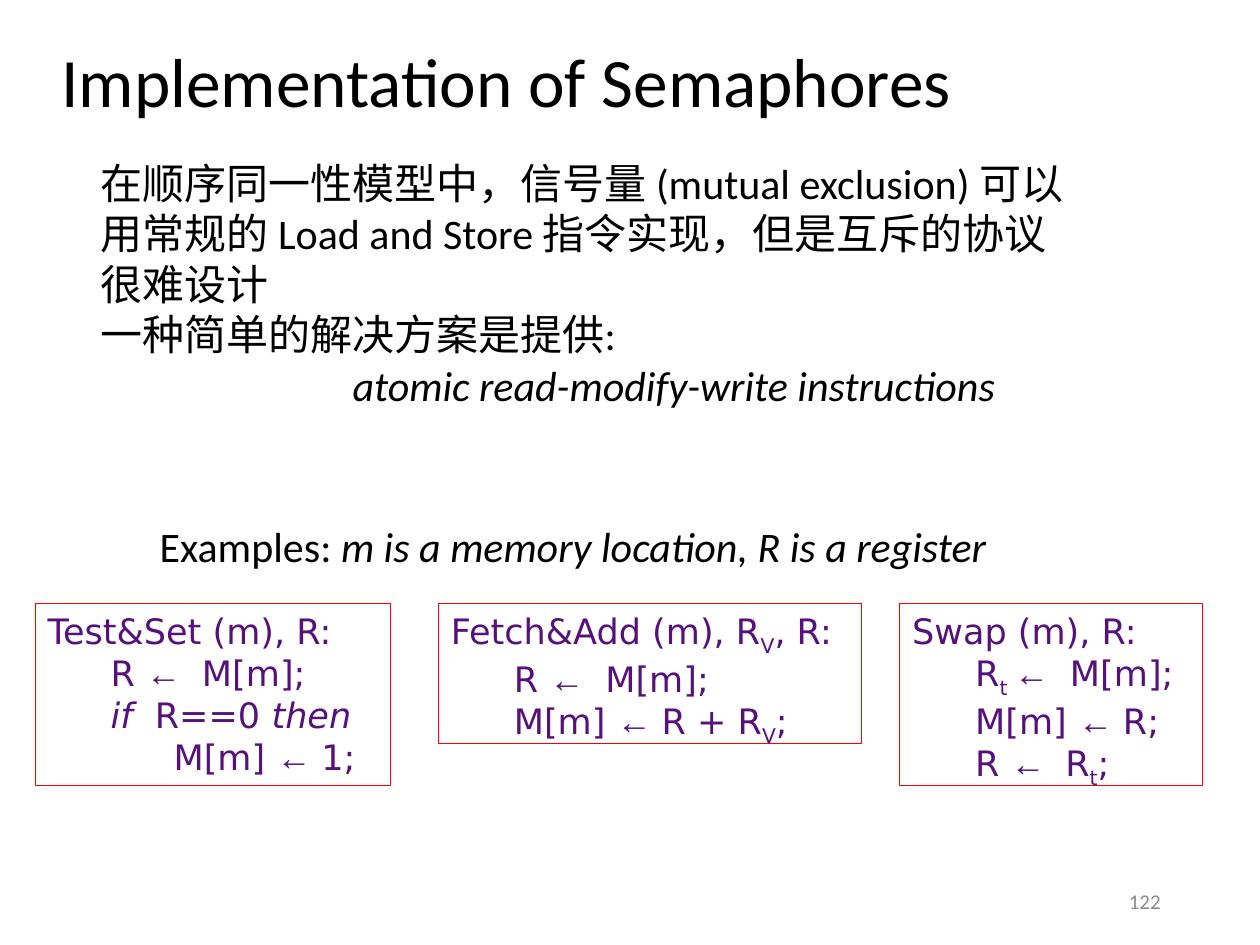
from pptx import Presentation
from pptx.dml.color import RGBColor
from pptx.enum.shapes import MSO_SHAPE
from pptx.enum.text import MSO_ANCHOR, PP_ALIGN
from pptx.util import Cm, Pt

RECTANGLE = MSO_SHAPE.RECTANGLE
TOP, MIDDLE = MSO_ANCHOR.TOP, MSO_ANCHOR.MIDDLE
LEFT, RIGHT = PP_ALIGN.LEFT, PP_ALIGN.RIGHT

BLACK = RGBColor(0x00, 0x00, 0x00)
GRAY = RGBColor(0x8C, 0x8C, 0x8C)
RED = RGBColor(0xFF, 0x00, 0x00)
PURPLE = RGBColor(0x56, 0x12, 0x7A)

TEXT_FONT, CODE_FONT, ARROW_FONT = "Calibri", "DejaVu Sans", "Arial"
TAB = 1.27  # cm per indent step
CODE_TOP = 12.17

PLAIN, ITALIC, SUB, ARROW = "plain", "italic", "subscript", "arrow"
ASSIGN = ("← ", ARROW)
LOAD = (1, ["R ", ASSIGN, " M[m];"])

# Left, width and height in cm, then lines of (indent steps, spans)
INSTRUCTIONS = [
    (0.71, 7.16, 3.66, [
        (0, ["Test&Set (m), R:"]),
        LOAD,
        (1, [("if", ITALIC), "  R==0 ", ("then", ITALIC)]),
        (2, ["M[m] ", ASSIGN, "1;"]),
    ]),
    (8.84, 8.53, 2.82, [
        (0, ["Fetch&Add (m), R", ("V", SUB), ", R:"]),
        LOAD,
        (1, ["M[m] ", ASSIGN, "R + R", ("V", SUB), ";"]),
    ]),
    (18.14, 6.1, 3.66, [
        (0, ["Swap (m), R:"]),
        (1, ["R", ("t ", SUB), ASSIGN, " M[m];"]),
        (1, ["M[m] ", ASSIGN, "R;"]),
        (1, ["R ", ("←  ", ARROW), "R", ("t", SUB), ";"]),
    ]),
]

PROBLEM = [
    (0, ["在顺序同一性模型中，信号量 (mutual exclusion) 可以用常规的 Load and Store "
         "指令实现，但是互斥的协议很难设计"]),
    (0, ["一种简单的解决方案是提供:"]),
    (4, [("atomic read-modify-write instructions", ITALIC)]),
]


def add_span(para, text, style):
    span = para.add_run()
    span.text = text
    if style == ITALIC:
        span.font.italic = True
    elif style == SUB:
        span._r.get_or_add_rPr().set("baseline", "-25000")
    elif style == ARROW:
        span.font.name = ARROW_FONT


def write_lines(box, lines, font, size, color, anchor=TOP, align=LEFT, spacing=1.0):
    """Fill a box with lines given as (indent steps, spans)."""
    frame = box.text_frame
    frame.word_wrap = True
    frame.vertical_anchor = anchor
    for number, (steps, spans) in enumerate(lines):
        para = frame.add_paragraph() if number else frame.paragraphs[0]
        para.alignment = align
        para.line_spacing = spacing
        properties = para._p.get_or_add_pPr()
        properties.set("marL", str(Cm(steps * TAB)))
        properties.set("indent", "0")
        para.font.name = font
        para.font.size = Pt(size)
        para.font.color.rgb = color
        for span in spans:
            text, style = (span, PLAIN) if isinstance(span, str) else span
            add_span(para, text, style)


def add_text(page, left, top, width, height, lines, size, color=BLACK, **layout):
    box = page.shapes.add_textbox(Cm(left), Cm(top), Cm(width), Cm(height))
    write_lines(box, lines, TEXT_FONT, size, color, **layout)


def add_code_box(page, left, width, height, lines):
    box = page.shapes.add_shape(RECTANGLE, Cm(left), Cm(CODE_TOP), Cm(width), Cm(height))
    box.shadow.inherit = False
    box.fill.background()
    box.line.color.rgb = RED
    box.line.width = Pt(0.75)
    write_lines(box, lines, CODE_FONT, 20, PURPLE)


def main():
    deck = Presentation()
    deck.slide_width, deck.slide_height = Cm(25.4), Cm(19.05)
    page = deck.slides.add_slide(deck.slide_layouts[6])

    add_text(page, 0.99, 0.89, 22.05, 1.63, [(0, ["Implementation of Semaphores"])],
             39.6, anchor=MIDDLE, spacing=0.9)
    add_text(page, 1.78, 3.05, 20.32, 5.38, PROBLEM, 24)
    add_text(page, 2.97, 10.36, 17.4, 1.27,
             [(0, ["Examples: ", ("m is a memory location, R is a register", ITALIC)])], 24)
    for left, width, height, lines in INSTRUCTIONS:
        add_code_box(page, left, width, height, lines)
    add_text(page, 17.93, 17.65, 5.72, 1.02, [(0, ["122"])], 12, GRAY,
             anchor=MIDDLE, align=RIGHT)

    deck.save("out.pptx")


if __name__ == "__main__":
    main()
